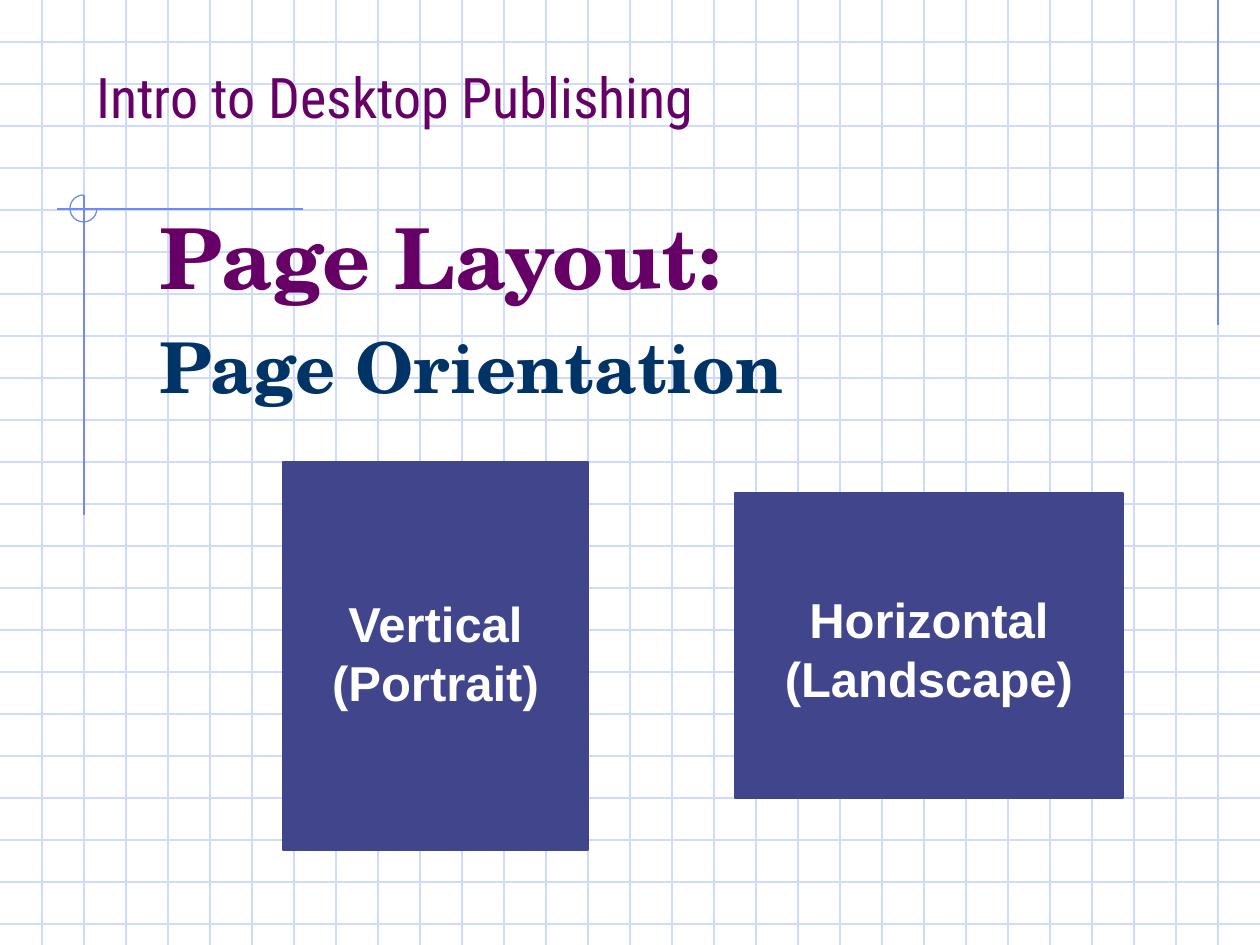
from pptx import Presentation
from pptx import util as u
from pptx.dml.color import RGBColor
from pptx.enum import shapes, text
from pptx.oxml.ns import qn
from lxml import etree

PX = 914400 // 126
WIDE, HIGH, STEP = 1260, 945, 42
COLORS = {
    "grid": "CFDBFD",
    "mark": "6F89F7",
    "plum": "660066",
    "navy": "003366",
    "card": "40458C",
    "white": "FFFFFF",
}


def px(*nums):
    return [u.Emu(n * PX) for n in nums]


def color(name):
    return RGBColor.from_string(COLORS[name])


def add_line(slide, x1, y1, x2, y2, name):
    line = slide.shapes.add_connector(
        shapes.MSO_CONNECTOR.STRAIGHT, *px(x1, y1, x2, y2))
    line.line.color.rgb = color(name)
    line.line.width = u.Pt(0.75)
    etree.SubElement(line._element.spPr, qn("a:effectLst"))


def add_box(slide, box, anchor=text.MSO_ANCHOR.TOP):
    frame = slide.shapes.add_textbox(*px(*box)).text_frame
    frame.word_wrap = True
    frame.vertical_anchor = anchor
    return frame


def add_run(para, words, size, font, name, bold=False):
    run = para.add_run()
    run.text = words
    run.font.size = u.Pt(size)
    run.font.name = font
    run.font.bold = bold
    run.font.color.rgb = color(name)


def add_grid(slide, box):
    left, top, wide, high = box
    for y in range(top + STEP, top + high, STEP):
        add_line(slide, left, y, left + wide, y, "grid")
    for x in range(left + STEP, left + wide, STEP):
        add_line(slide, x, top, x, top + high, "grid")


def add_marks(slide, box):
    left, top, wide, high = box
    add_line(slide, left + wide, top, left + wide, top + 325, "mark")
    add_line(slide, left + 303, top + 209, left + 57, top + 209, "mark")
    add_line(slide, left + 84, top + 195, left + 84, top + 515, "mark")
    arc = slide.shapes.add_shape(
        shapes.MSO_SHAPE.ARC, *px(left + 70, top + 195, 27, 27))
    arc.adjustments[0] = 0
    arc.adjustments[1] = 162
    arc.shadow.inherit = False
    arc.fill.background()
    arc.line.color.rgb = color("mark")
    arc.line.width = u.Pt(0.75)


def add_title(slide, box):
    para = add_box(slide, box, text.MSO_ANCHOR.BOTTOM).paragraphs[0]
    add_run(para, "Intro to Desktop Publishing", 32,
            "Roboto Condensed", "plum")


def add_body(slide, box):
    frame = add_box(slide, box)
    add_run(frame.paragraphs[0], "Page Layout:", 48,
            "TeX Gyre Schola", "plum", True)
    para = frame.add_paragraph()
    para.space_before = u.Pt(10)
    add_run(para, "Page Orientation", 40, "TeX Gyre Schola", "navy", True)


def add_card(slide, box, words, inset, drop):
    left, top, wide, high = box
    card = slide.shapes.add_shape(shapes.MSO_SHAPE.RECTANGLE, *px(*box))
    card.shadow.inherit = False
    card.fill.solid()
    card.fill.fore_color.rgb = color("card")
    card.line.color.rgb = color("card")
    card.line.width = u.Pt(0.75)
    label = (left + inset, top + drop, wide - 2 * inset, 131)
    para = add_box(slide, label).paragraphs[0]
    para.alignment = text.PP_ALIGN.CENTER
    add_run(para, words, 28, "Arial", "white", True)


def main():
    deck = Presentation()
    deck.slide_width, deck.slide_height = px(WIDE, HIGH)
    slide = deck.slides.add_slide(deck.slide_layouts[6])
    add_grid(slide, (0, 0, WIDE, HIGH))
    add_marks(slide, (0, 0, 1218, HIGH))
    add_body(slide, (147, 199, 1071, 567))
    add_title(slide, (84, 42, 1071, 94))
    add_card(slide, (283, 462, 305, 388), "Vertical (Portrait)", 11, 125)
    add_card(slide, (735, 493, 388, 305), "Horizontal (Landscape)", 16, 90)
    deck.save("out.pptx")


if __name__ == "__main__":
    main()
